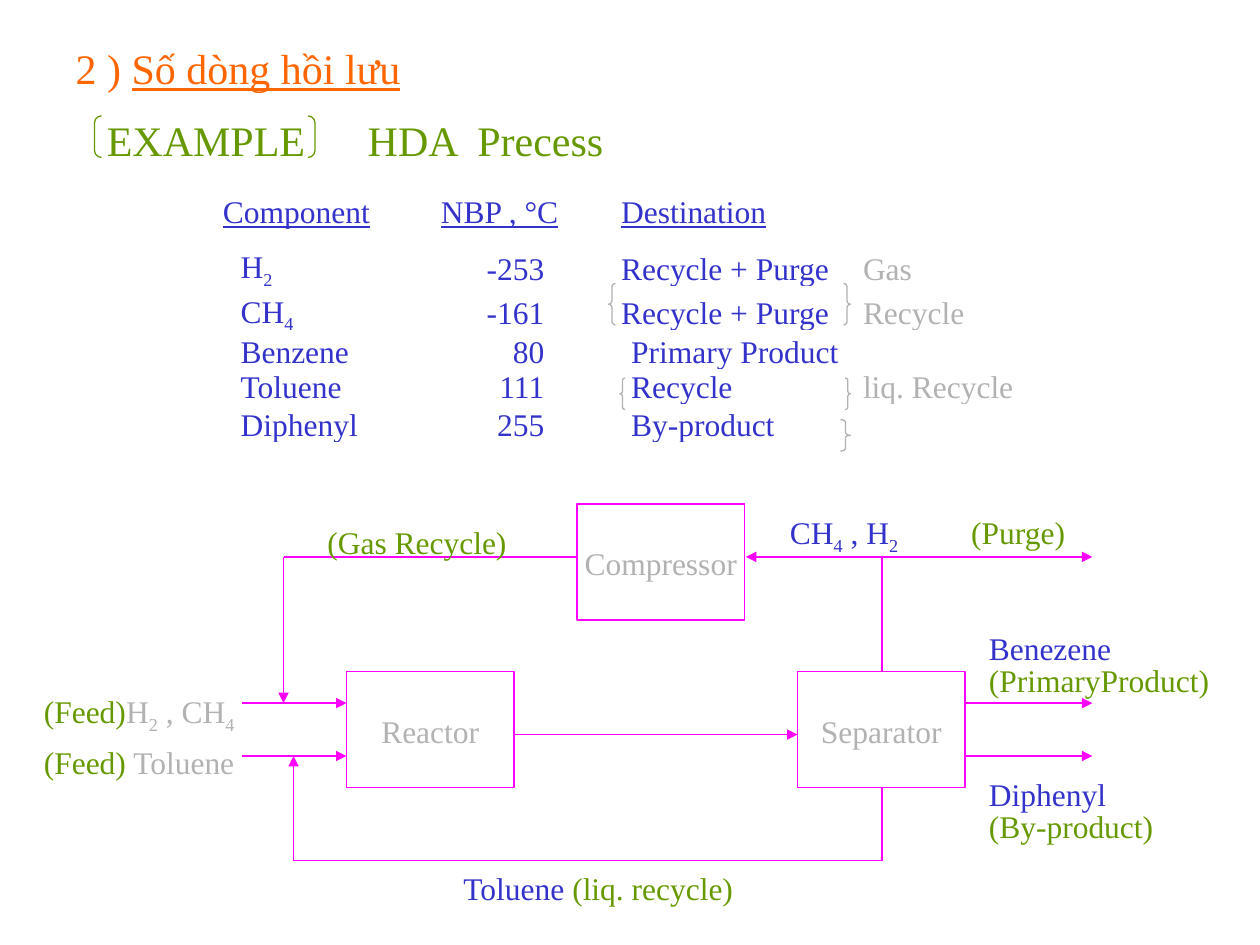
"""Build the recycle-stream slide for the HDA process."""
from dataclasses import dataclass
from itertools import pairwise

from lxml import etree
from pptx import Presentation
from pptx import util as u
from pptx.dml.color import RGBColor
from pptx.enum import shapes, text
from pptx.oxml import ns


@dataclass(frozen=True)
class Theme:
    font: str = "Times New Roman"
    head: float = 24
    body: float = 18
    line: float = 0.75
    orange: str = "FF6600"
    green: str = "669900"
    blue: str = "3333CC"
    gray: str = "B2B2B2"
    magenta: str = "FF00FF"
    white: str = "FFFFFF"


T = Theme()
ALIGN, ANCHOR = text.PP_ALIGN, text.MSO_ANCHOR
SHAPE = shapes.MSO_SHAPE


def write(tf, *lines, size=T.body, align=ALIGN.LEFT, anchor=ANCHOR.TOP, wrap=True,
          underline=False, spacing=1, tab=None, margins=(0.1, 0.07, 0.1, 0.05)):
    """Fill a frame with lines of (text, colour) runs; ~marks~ set subscripts."""
    tf.word_wrap, tf.vertical_anchor = wrap, anchor
    tf.margin_left, tf.margin_top, tf.margin_right, tf.margin_bottom = map(u.Inches, margins)
    for n, runs in enumerate(lines):
        p = tf.add_paragraph() if n else tf.paragraphs[0]
        p.alignment, p.line_spacing = align, 0.85 if n else spacing
        p.space_before = u.Pt(0)
        if tab:
            tabs = etree.SubElement(p._p.get_or_add_pPr(), ns.qn("a:tabLst"))
            etree.SubElement(tabs, ns.qn("a:tab"), pos=str(u.Inches(tab)), algn="l")
        for words, color in runs:
            for i, part in enumerate(words.split("~")):
                if not part:
                    continue
                r = p.add_run()
                r.text = part
                r.font.name, r.font.size = T.font, u.Pt(size)
                r.font.color.rgb = RGBColor.from_string(color)
                r.font.underline = underline or part == "Số dòng hồi lưu"
                if i % 2:
                    r._r.get_or_add_rPr().set("baseline", "-25000")


def outline(kind, box, color, adj=(), fill=None):
    """Add a preset shape with a thin outline."""
    sp = slide.shapes.add_shape(kind, *map(u.Inches, box))
    sp.shadow.inherit = False
    sp.line.color.rgb, sp.line.width = RGBColor.from_string(color), u.Pt(T.line)
    for i, value in enumerate(adj):
        sp.adjustments[i] = value
    if fill:
        sp.fill.solid()
        sp.fill.fore_color.rgb = RGBColor.from_string(fill)
    else:
        sp.fill.background()
    return sp


prs = Presentation()
prs.slide_width, prs.slide_height = u.Inches(10), u.Inches(7.5)
slide = prs.slides.add_slide(prs.slide_layouts[5])

title = slide.shapes.title
title.left, title.top, title.width, title.height = map(u.Inches, (0.5, 0.27, 9, 0.5))
title.text_frame.auto_size = text.MSO_AUTO_SIZE.NONE
write(title.text_frame, [("2 ) ", T.orange), ("Số dòng hồi lưu", T.orange)], size=T.head)

columns = [1.73, 1.43, 1.92, 1.5]
heights = [0.3, 0.45, 0.35, 0.28, 0.28, 0.28]
rows = [
    ("Component", "NBP , °C", "Destination", ""),
    ("H~2~", "-253", "Recycle + Purge", "Gas"),
    ("CH~4~", "-161", "Recycle + Purge", "Recycle"),
    ("Benzene", "80", "Primary Product", ""),
    ("Toluene", "111", "Recycle", "liq. Recycle"),
    ("Diphenyl", "255", "By-product", ""),
]
frame = slide.shapes.add_table(len(rows), len(columns), u.Inches(1.76), u.Inches(1.52),
                               u.Inches(sum(columns)), u.Inches(sum(heights)))
table = frame.table
table.first_row = table.horz_banding = False
for column, width in zip(table.columns, columns):
    column.width = u.Inches(width)
for i, (row, height) in enumerate(zip(rows, heights)):
    table.rows[i].height = u.Inches(height)
    for j, words in enumerate(row):
        cell = table.cell(i, j)
        cell.fill.background()
        number = i > 0 and j == 1
        left = 0.15 if i and j == 0 else 0.09 if i > 2 and j == 2 else 0.01
        write(cell.text_frame, [(words, T.gray if j == 3 else T.blue)], underline=i == 0,
              align=ALIGN.RIGHT if number else ALIGN.LEFT, spacing=0.9)
        cell.vertical_anchor = ANCHOR.BOTTOM
        cell.margin_left, cell.margin_right = u.Inches(left), u.Inches(0.6 if number else 0)
        cell.margin_top = cell.margin_bottom = 0

outline(SHAPE.LEFT_BRACKET and SHAPE.DOUBLE_BRACKET, (0.75, 0.92, 1.75, 0.33), T.green, [0.167])
outline(SHAPE.DOUBLE_BRACE, (4.83, 2.25, 1.92, 0.33), T.gray, [0.083])
outline(SHAPE.DOUBLE_BRACE, (4.92, 3, 1.83, 0.25), T.gray, [0.083])
outline(SHAPE.RIGHT_BRACE, (6.67, 3.33, 0.08, 0.25), T.gray, [0.25, 0.5])

for name, x, y in [("Reactor", 2.75, 5.33), ("Compressor", 4.58, 4), ("Separator", 6.33, 5.33)]:
    sp = outline(SHAPE.RECTANGLE, (x, y, 1.33, 0.92), T.magenta, fill=T.white)
    write(sp.text_frame, [(name, T.gray)], align=ALIGN.CENTER, anchor=ANCHOR.MIDDLE, wrap=False)

streams = [
    (True, (1.92, 5.58), (2.75, 5.58)),
    (True, (1.92, 6), (2.75, 6)),
    (True, (4.08, 5.83), (6.33, 5.83)),
    (True, (7.67, 5.58), (8.67, 5.58)),
    (True, (7.67, 6), (8.67, 6)),
    (True, (7, 6.25), (7, 6.83), (2.33, 6.83), (2.33, 6)),
    (False, (7, 5.33), (7, 4.42)),
    (True, (7, 4.42), (8.67, 4.42)),
    (True, (7, 4.42), (5.92, 4.42)),
    (True, (4.58, 4.42), (2.25, 4.42), (2.25, 5.58)),
]
for arrow, *points in streams:
    for start, end in pairwise(points):
        line = slide.shapes.add_connector(shapes.MSO_CONNECTOR.STRAIGHT,
                                          *map(u.Inches, start + end))
        line.line.color.rgb = RGBColor.from_string(T.magenta)
        line.line.width = u.Pt(T.line)
        if arrow and end == points[-1]:
            etree.SubElement(line.line._get_or_add_ln(), ns.qn("a:tailEnd"), type="triangle")
        etree.SubElement(line._element.spPr, ns.qn("a:effectLst"))

labels = [
    ((0.75, 0.84, 5, 0.5), [[("EXAMPLE\tHDA  Precess", T.green)]], {"size": T.head, "tab": 2.07}),
    ((6.17, 4, 2.5, 0.4), [[("CH~4~ , H~2~\t", T.blue), ("(Purge)", T.green)]], {"tab": 1.44}),
    ((7.75, 4.92, 2, 0.64), [[("Benezene", T.blue)], [("(PrimaryProduct)", T.green)]], {}),
    ((7.75, 6.08, 1.92, 0.64), [[("Diphenyl", T.blue)], [("(By-product)", T.green)]], {}),
    ((0.25, 5.42, 2, 0.4), [[("(Feed)", T.green), ("H~2~ , CH~4~", T.gray)]], {}),
    ((0.25, 5.83, 2, 0.4), [[("(Feed)", T.green), (" Toluene", T.gray)]], {}),
    ((2.5, 4.08, 1.92, 0.4), [[("(Gas Recycle)", T.green)]], {}),
    ((3.58, 6.83, 2.83, 0.4), [[("Toluene ", T.blue), ("(liq. recycle)", T.green)]], {}),
]
for box, lines, style in labels:
    tb = slide.shapes.add_textbox(*map(u.Inches, box))
    write(tb.text_frame, *lines, **style)

prs.save("out.pptx")
